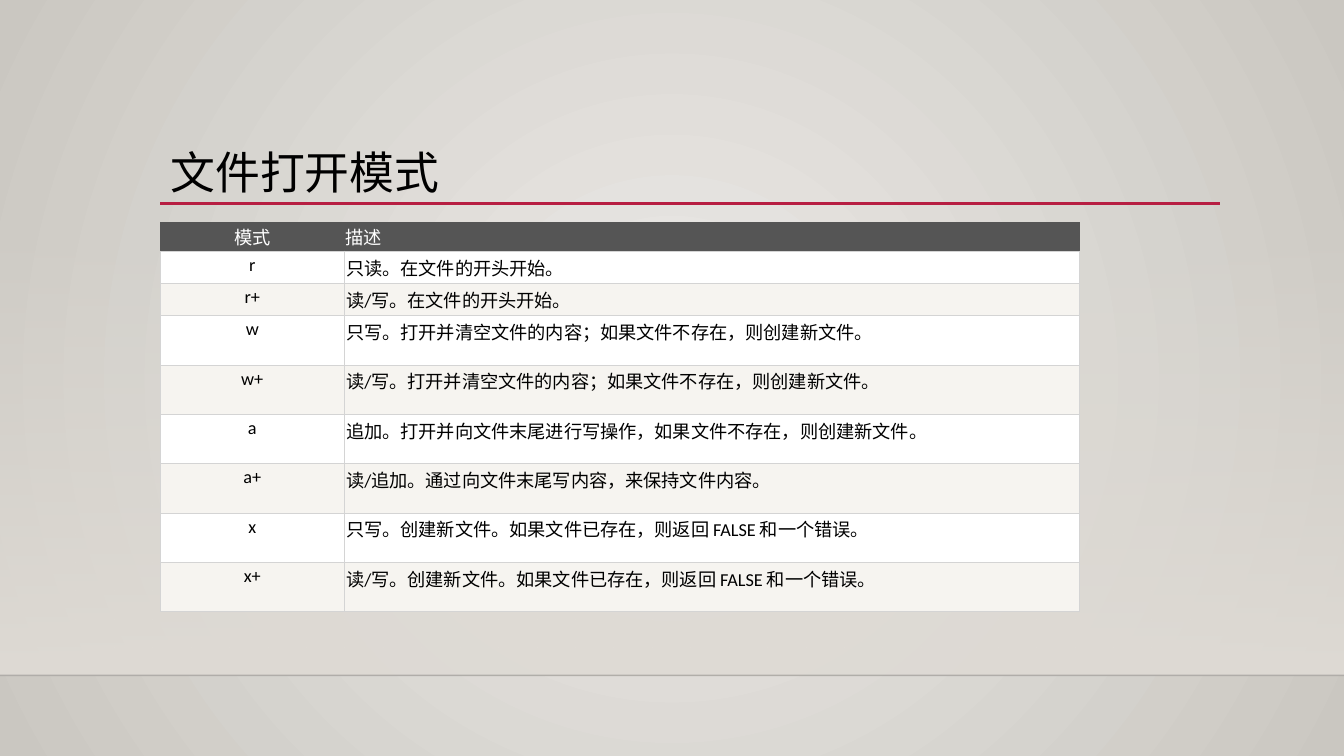
"""Build a slide with a table of file opening modes."""
from lxml import etree
from pptx import Presentation
from pptx.dml.color import RGBColor
from pptx.enum.shapes import MSO_CONNECTOR, MSO_SHAPE
from pptx.enum.text import MSO_ANCHOR, MSO_AUTO_SIZE, PP_ALIGN
from pptx.oxml.ns import qn
from pptx.util import Inches, Pt

STRAIGHT, RECT = MSO_CONNECTOR.STRAIGHT, MSO_SHAPE.RECTANGLE
LEFT, CENTER = PP_ALIGN.LEFT, PP_ALIGN.CENTER
MIDDLE, NO_FIT = MSO_ANCHOR.MIDDLE, MSO_AUTO_SIZE.NONE
W, H = Inches(13.33), Inches(7.5)
MARGIN, TABLE_TOP, FLOOR = 11.93, 29.47, 89.33
TABLE_WIDTH = 68.4
HEADER, BORDER, WHITE, BAND, BLACK = "555555", "D4D4D4", "FFFFFF", "F6F4F0", "000000"
ROWS = [
    ("模式", "描述", 3.2),
    ("r", "只读。在文件的开头开始。", 3.73),
    ("r+", "读/写。在文件的开头开始。", 3.73),
    ("w", "只写。打开并清空文件的内容；如果文件不存在，则创建新文件。", 6.53),
    ("w+", "读/写。打开并清空文件的内容；如果文件不存在，则创建新文件。", 6.53),
    ("a", "追加。打开并向文件末尾进行写操作，如果文件不存在，则创建新文件。", 6.53),
    ("a+", "读/追加。通过向文件末尾写内容，来保持文件内容。", 6.53),
    ("x", "只写。创建新文件。如果文件已存在，则返回 FALSE 和一个错误。", 6.53),
    ("x+", "读/写。创建新文件。如果文件已存在，则返回 FALSE 和一个错误。", 6.53),
]


def rgb(color):
    """Turn a hex string into a colour."""
    return RGBColor.from_string(color)


def at(*shares):
    """Turn alternating percentages of slide width and height into lengths."""
    return [int((W, H)[i % 2] * share / 100) for i, share in enumerate(shares)]


prs = Presentation()
prs.slide_width, prs.slide_height = W, H
s = prs.slides.add_slide(prs.slide_layouts[5])

wall = s.shapes.add_shape(RECT, *at(0, TABLE_TOP, 100, FLOOR - TABLE_TOP))
wall.shadow.inherit = False
wall.line.fill.background()
for fill, colors in ((s.background.fill, ("ECEAE7", "CAC7C1")),
                     (wall.fill, ("DFDBD5", "DFDBD5"))):
    fill.gradient()
    for stop, color in zip(fill.gradient_stops, colors):
        stop.color.rgb = rgb(color)
wall.fill.gradient_angle = 270
clear = next(wall.element.iter(qn("a:srgbClr")))
etree.SubElement(clear, qn("a:alpha"), val="0")

linear = next(s.element.iter(qn("a:lin")))
radial = etree.Element(qn("a:path"), path="circle")
etree.SubElement(radial, qn("a:fillToRect"), {side: "50000" for side in "ltrb"})
linear.getparent().replace(linear, radial)

for x1, x2, y, color, width, alpha in ((0, 100, FLOOR, "000001", 1, 20),
                                       (MARGIN, 90.77, 26.93, "B71E42", 2.5, 100)):
    line = s.shapes.add_connector(STRAIGHT, *at(x1, y, x2, y))
    line.line.width = Pt(width)
    line.line.color.rgb = rgb(color)
    shade = next(line.element.iter(qn("a:srgbClr")))
    etree.SubElement(shade, qn("a:alpha"), val=str(alpha * 1000))
    etree.SubElement(line.element.spPr, qn("a:effectLst"))

title = s.shapes.title
title.element.getparent().append(title.element)
title.left, title.top, title.width, title.height = at(MARGIN, 19.2, 78.77, 7.87)
tf = title.text_frame
tf.text = "文件打开模式"
tf.auto_size, tf.vertical_anchor, tf.word_wrap = NO_FIT, MIDDLE, True
p = tf.paragraphs[0]
p.alignment, p.line_spacing = LEFT, 0.9
r = p.runs[0]
r.font.name, r.font.size = "Noto Sans CJK SC", Pt(32)
r.font.color.rgb = rgb(BLACK)
etree.SubElement(r.font._element, qn("a:ea"), typeface="Noto Sans CJK SC")

height = sum(row[2] for row in ROWS)
table = s.shapes.add_table(len(ROWS), 2, *at(MARGIN, TABLE_TOP, TABLE_WIDTH, height)).table
table.horz_banding = False
for column, share in zip(table.columns, (0.2, 0.8)):
    column.width = at(TABLE_WIDTH * share)[0]

for i, (mode, description, share) in enumerate(ROWS):
    table.rows[i].height = at(0, share)[1]
    head = i == 0
    for j, (text, align) in enumerate(((mode, CENTER), (description, LEFT))):
        cell = table.cell(i, j)
        cell.text = text
        cell.margin_left = cell.margin_right = Inches(0.01 if head else 0.02)
        cell.margin_top = cell.margin_bottom = Inches(0.01 if head else 0.03)
        p = cell.text_frame.paragraphs[0]
        p.alignment = align
        font = p.runs[0].font
        font.name, font.size, font.bold = "Calibri", Pt(13), False
        font.color.rgb = rgb(WHITE if head else BLACK)
        tc_pr = cell._tc.get_or_add_tcPr()
        for side in "LRTB":
            edge = etree.SubElement(tc_pr, qn(f"a:ln{side}"), w=str(Pt(0.5)))
            paint = etree.SubElement(edge, qn("a:solidFill"))
            color = HEADER if head and side != "B" else BORDER
            etree.SubElement(paint, qn("a:srgbClr"), val=color)
        cell.fill.solid()
        cell.fill.fore_color.rgb = rgb(HEADER if head else WHITE if i % 2 else BAND)

prs.save("out.pptx")
